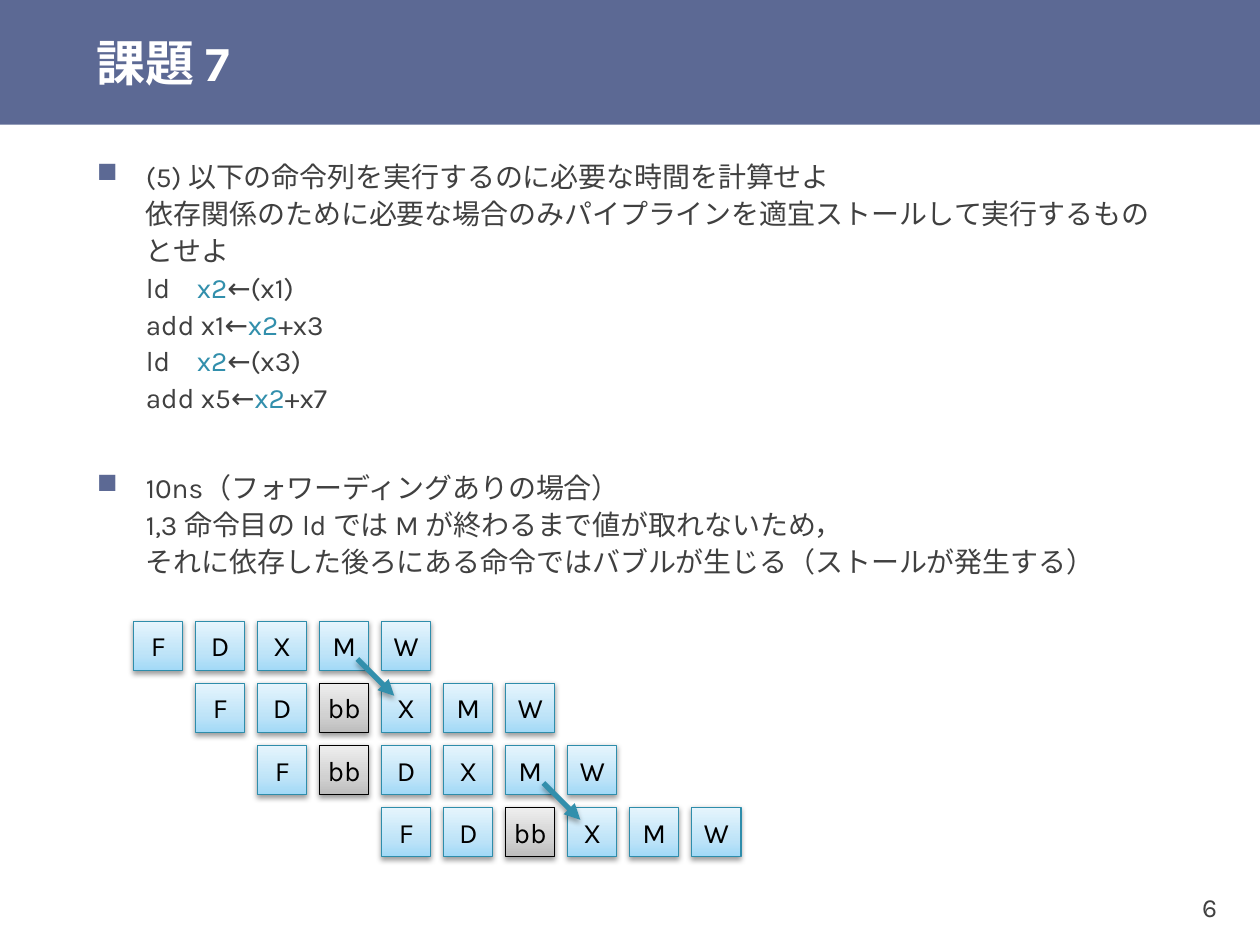
from dataclasses import dataclass
from lxml import etree
from pptx import Presentation
from pptx.dml.color import RGBColor
from pptx.enum.lang import MSO_LANGUAGE_ID
from pptx.enum.shapes import MSO_CONNECTOR, MSO_SHAPE
from pptx.enum.text import MSO_ANCHOR, PP_ALIGN
from pptx.oxml import parse_xml
from pptx.oxml.ns import nsdecls, qn
from pptx.util import Inches, Pt

RECTANGLE = MSO_SHAPE.RECTANGLE
STRAIGHT = MSO_CONNECTOR.STRAIGHT
MIDDLE = MSO_ANCHOR.MIDDLE
CENTER, RIGHT = PP_ALIGN.CENTER, PP_ALIGN.RIGHT
JAPANESE = MSO_LANGUAGE_ID.JAPANESE


@dataclass(frozen=True)
class Theme:
    font: str = "Karla"
    navy: str = "5C6994"
    teal: str = "328FAC"
    ink: str = "404040"
    white: str = "FFFFFF"
    black: str = "000000"
    stage_line: str = "2E8DAB"
    stage_fill: tuple = ("A2D9F7", "BFE4F8", "E6F5FD")
    bubble_fill: tuple = ("BDBDBD", "D1D1D1", "EEEEEE")
    title_size: int = 28
    body_size: int = 16
    number_size: int = 15


theme = Theme()


def write(paragraph, text, size, color, bold=False):
    for index, line in enumerate(text.split("\n")):
        if index:
            paragraph.add_line_break()
        if line:
            run = paragraph.add_run()
            run.text = line
            run.font.color.rgb = RGBColor.from_string(color)
            font_values = {"name": theme.font, "size": Pt(size), "bold": bold,
                           "language_id": JAPANESE}
            for name, value in font_values.items():
                setattr(run.font, name, value)


def cast_shadow(effects, distance, opacity):
    effects.append(parse_xml(
        f'<a:outerShdw {nsdecls("a")} blurRad="{Pt(3.1)}" dist="{Pt(distance)}" '
        f'dir="5400000" rotWithShape="0"><a:srgbClr val="{theme.black}">'
        f'<a:alpha val="{opacity * 1000}"/></a:srgbClr></a:outerShdw>'))


deck = Presentation()
deck.slide_width, deck.slide_height = Inches(10), Inches(7.5)
slide = deck.slides.add_slide(deck.slide_layouts[6])

banner = slide.shapes.add_shape(RECTANGLE, 0, 0, Inches(10), Inches(0.99))
banner.shadow.inherit = False
banner.fill.solid()
banner.fill.fore_color.rgb = RGBColor.from_string(theme.navy)
banner.line.fill.background()

page_number = slide.shapes.add_textbox(Inches(8.94), Inches(6.9), Inches(0.79), Inches(0.6))
title = slide.shapes.add_textbox(Inches(0.67), 0, Inches(9.33), Inches(0.99))
frame_values = [
    (page_number, {"vertical_anchor": MIDDLE, "word_wrap": False,
                   "margin_left": Inches(0.07), "margin_right": Inches(0.07),
                   "margin_top": Inches(0.04), "margin_bottom": Inches(0.04)}),
    (title, {"vertical_anchor": MIDDLE, "word_wrap": True,
             "margin_top": 0, "margin_bottom": 0}),
]
for box, values in frame_values:
    for name, value in values.items():
        setattr(box.text_frame, name, value)
page_number.text_frame.paragraphs[0].alignment = RIGHT
write(page_number.text_frame.paragraphs[0], "6", theme.number_size, theme.ink)
write(title.text_frame.paragraphs[0], "課題 7", theme.title_size, theme.white, bold=True)

question = [
    ("(5) 以下の命令列を実行するのに必要な時間を計算せよ\n"
     "依存関係のために必要な場合のみパイプラインを適宜ストールして実行するものとせよ\n"
     "ld    ", theme.ink),
    ("x2", theme.teal), ("←(x1)\nadd x1←", theme.ink),
    ("x2", theme.teal), ("+x3\nld    ", theme.ink),
    ("x2", theme.teal), ("←(x3)\nadd x5←", theme.ink),
    ("x2", theme.teal), ("+x7", theme.ink),
]
answer = [
    ("10ns（フォワーディングありの場合）\n"
     "1,3 命令目の ld では M が終わるまで値が取れないため，\n"
     "それに依存した後ろにある命令ではバブルが生じる（ストールが発生する）", theme.ink),
]
body = slide.shapes.add_textbox(Inches(0.67), Inches(1.19), Inches(8.66), Inches(2.76))
body.text_frame.word_wrap = True
for index, pieces in enumerate((question, answer)):
    paragraph = body.text_frame.add_paragraph() if index else body.text_frame.paragraphs[0]
    properties = paragraph._p.get_or_add_pPr()
    properties.set("marL", str(Inches(0.39)))
    properties.set("indent", str(-Inches(0.39)))
    bullet_color = etree.SubElement(properties, qn("a:buClr"))
    etree.SubElement(bullet_color, qn("a:srgbClr"), val=theme.navy)
    etree.SubElement(properties, qn("a:buChar"), char="■")
    spacing = {"line_spacing": 1.1, "space_before": Pt(24 if index else 0), "space_after": Pt(6)}
    for name, value in spacing.items():
        setattr(paragraph, name, value)
    for text, color in pieces:
        write(paragraph, text, theme.body_size, color)

left, top, cell = 1.06, 4.93, 0.39
pitch = 4.43 / 9
instructions = [
    (0, "F D X M W"),
    (1, "F D bb X M W"),
    (2, "F bb D X M W"),
    (4, "F D bb X M W"),
]
for row, (start, stages) in enumerate(instructions):
    for column, label in enumerate(stages.split(), start):
        stage = slide.shapes.add_shape(
            RECTANGLE, Inches(left + column * pitch), Inches(top + row * pitch),
            Inches(cell), Inches(cell))
        bubble = label == "bb"
        colors = theme.bubble_fill if bubble else theme.stage_fill
        stops = "".join(f'<a:gs pos="{position}000"><a:srgbClr val="{color}"/></a:gs>'
                        for position, color in zip((0, 35, 100), colors))
        stage._element.spPr.append(parse_xml(
            f'<a:gradFill {nsdecls("a")} rotWithShape="1"><a:gsLst>{stops}</a:gsLst>'
            '<a:lin ang="16200000" scaled="0"/></a:gradFill>'))
        stage.line.color.rgb = RGBColor.from_string(theme.black if bubble else theme.stage_line)
        stage.line.width = Pt(0.75)
        stage.shadow.inherit = False
        cast_shadow(stage._element.spPr.find(qn("a:effectLst")), 1.6, 38)
        stage.text_frame.word_wrap = False
        stage.text_frame.vertical_anchor = MIDDLE
        stage.text_frame.paragraphs[0].alignment = CENTER
        write(stage.text_frame.paragraphs[0], label, theme.body_size, theme.black)

for column, row in ((6, 2), (3, 0)):
    x, y = left + column * pitch, top + row * pitch
    forwarding = slide.shapes.add_connector(
        STRAIGHT, Inches(x + 0.3), Inches(y + 0.3),
        Inches(x + pitch + 0.1), Inches(y + pitch + 0.1))
    forwarding.line.color.rgb = RGBColor.from_string(theme.teal)
    forwarding.line.width = Pt(3)
    etree.SubElement(forwarding.line._get_or_add_ln(), qn("a:tailEnd"), type="triangle")
    cast_shadow(etree.SubElement(forwarding._element.spPr, qn("a:effectLst")), 1.8, 35)

deck.save("out.pptx")
